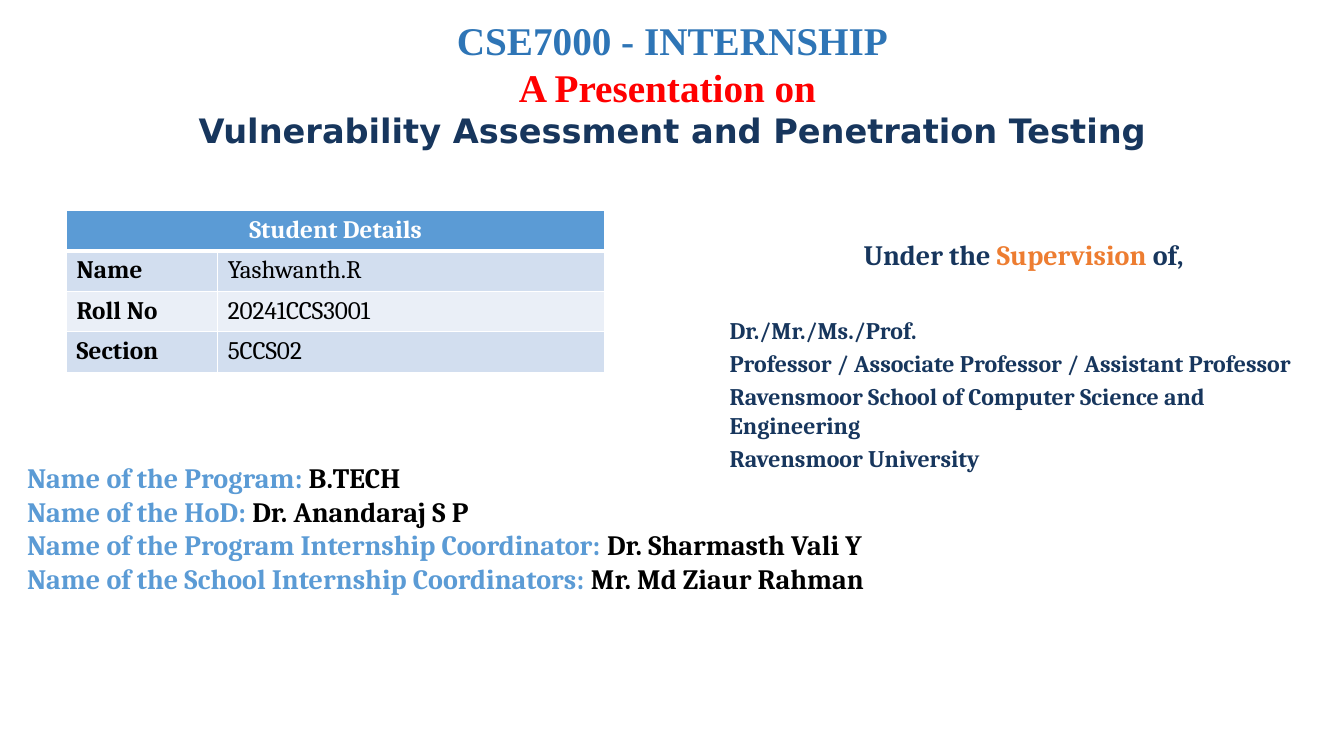
from lxml import etree
from pptx import Presentation
from pptx.dml.color import RGBColor
from pptx.enum import text as t
from pptx.oxml import ns
from pptx.util import Pt

WHITE = RGBColor(0xFF, 0xFF, 0xFF)
BLACK = RGBColor(0x00, 0x00, 0x00)
NAVY = RGBColor(0x17, 0x36, 0x5D)
BLUE = RGBColor(0x5B, 0x9B, 0xD5)
TITLE_BLUE = RGBColor(0x2E, 0x75, 0xB6)
RED = RGBColor(0xFF, 0x00, 0x00)
ORANGE = RGBColor(0xED, 0x7D, 0x31)
BANDS = (RGBColor(0xD2, 0xDE, 0xEF), RGBColor(0xEA, 0xEF, 0xF7))

SERIF, TITLE_FONT, TOPIC_FONT = "Cambria", "Times New Roman", "DejaVu Sans"
CENTER, LEFT = t.PP_ALIGN.CENTER, t.PP_ALIGN.LEFT

TITLE = [
    ("CSE7000 - INTERNSHIP", TITLE_FONT, 28, TITLE_BLUE),
    ("A Presentation on ", TITLE_FONT, 28, RED),
    ("Vulnerability Assessment and Penetration Testing", TOPIC_FONT, 24, NAVY),
]
SUPERVISION = [("Under the ", NAVY), ("Supervision", ORANGE), (" of,", NAVY)]
SUPERVISOR = [
    "Dr./Mr./Ms./Prof.",
    "Professor / Associate Professor / Assistant Professor",
    "Ravensmoor School of Computer Science and Engineering",
    "Ravensmoor University",
]
PROGRAM = [
    ("Name of the Program: ", "B.TECH"),
    ("Name of the HoD: ", "Dr. Anandaraj S P"),
    ("Name of the Program Internship Coordinator: ", "Dr. Sharmasth Vali Y"),
    ("Name of the School Internship Coordinators: ", "Mr. Md Ziaur Rahman"),
]
STUDENT_HEADING = "Student Details"
STUDENT = [("Name", "Yashwanth.R"), ("Roll No", "20241CCS3001"), ("Section", "5CCS02")]

TITLE_AREA = (66.24, 10.08, 828, 123.12)
SUPERVISOR_AREA = (514.08, 166.32, 434.16, 159.12)
PROGRAM_AREA = (12.24, 325.44, 964.8, 123.12)
TABLE_ORIGIN = (47.52, 150.48)
COLUMN_WIDTHS = (108, 276.48)
ROW_HEIGHT = 28.8
GAP_AFTER_SUPERVISION = 31.4


def add_span(para, words, color, size, font=SERIF, bold=True):
    span = para.add_run()
    span.text = words
    for name, value in {"name": font, "size": Pt(size), "bold": bold}.items():
        setattr(span.font, name, value)
    span.font.color.rgb = color


def add_text(page, area, paragraphs, inset_top=3.6):
    frame = page.shapes.add_textbox(*map(Pt, area)).text_frame
    settings = {
        "word_wrap": True,
        "vertical_anchor": t.MSO_ANCHOR.TOP,
        "margin_top": Pt(inset_top),
    }
    for name, value in settings.items():
        setattr(frame, name, value)
    for index, (align, before, spans) in enumerate(paragraphs):
        para = frame.add_paragraph() if index else frame.paragraphs[0]
        para.alignment = align
        para.space_before = Pt(before)
        for span in spans:
            add_span(para, *span)


def fill_cell(cell, words, color, fill, bold, align=LEFT, bottom=1):
    para = cell.text_frame.paragraphs[0]
    para.alignment = align
    add_span(para, words, color, 18, bold=bold)
    set_cell_look(cell, fill, bottom)


def set_cell_look(cell, fill, bottom):
    properties = cell._tc.get_or_add_tcPr()
    for side, width in {"L": 1, "R": 1, "T": 1, "B": bottom}.items():
        line = etree.SubElement(properties, ns.qn("a:ln" + side), w=str(Pt(width)))
        solid = etree.SubElement(line, ns.qn("a:solidFill"))
        etree.SubElement(solid, ns.qn("a:srgbClr"), val=str(WHITE))
    cell.fill.solid()
    cell.fill.fore_color.rgb = fill


def add_student_table(page):
    rows = len(STUDENT) + 1
    size = (sum(COLUMN_WIDTHS), rows * ROW_HEIGHT)
    table = page.shapes.add_table(rows, 2, *map(Pt, TABLE_ORIGIN + size)).table
    for column, width in zip(table.columns, COLUMN_WIDTHS):
        column.width = Pt(width)
    heading = table.cell(0, 0)
    heading.merge(table.cell(0, 1))
    fill_cell(heading, STUDENT_HEADING, WHITE, BLUE, True, CENTER, 3)
    set_cell_look(table.cell(0, 1), BLUE, 3)
    for row, entry in enumerate(STUDENT, 1):
        for column, words in enumerate(entry):
            fill_cell(table.cell(row, column), words, BLACK, BANDS[(row - 1) % 2], column == 0)


def main():
    deck = Presentation()
    deck.slide_width, deck.slide_height = Pt(960), Pt(540)
    page = deck.slides.add_slide(deck.slide_layouts[6])

    supervisor = [(CENTER, 0, [(words, color, 20) for words, color in SUPERVISION])]
    for index, words in enumerate(SUPERVISOR):
        before = 3.4 if index else GAP_AFTER_SUPERVISION
        supervisor.append((LEFT, before, [(words, NAVY, 17)]))
    program = [
        (LEFT, 0, [(label, BLUE, 20), (value, BLACK, 20)]) for label, value in PROGRAM
    ]
    title = [(CENTER, 0, [(words, color, size, font)]) for words, font, size, color in TITLE]

    add_text(page, SUPERVISOR_AREA, supervisor)
    add_text(page, PROGRAM_AREA, program)
    add_text(page, TITLE_AREA, title, inset_top=1.4)
    add_student_table(page)
    deck.save("out.pptx")


if __name__ == "__main__":
    main()
